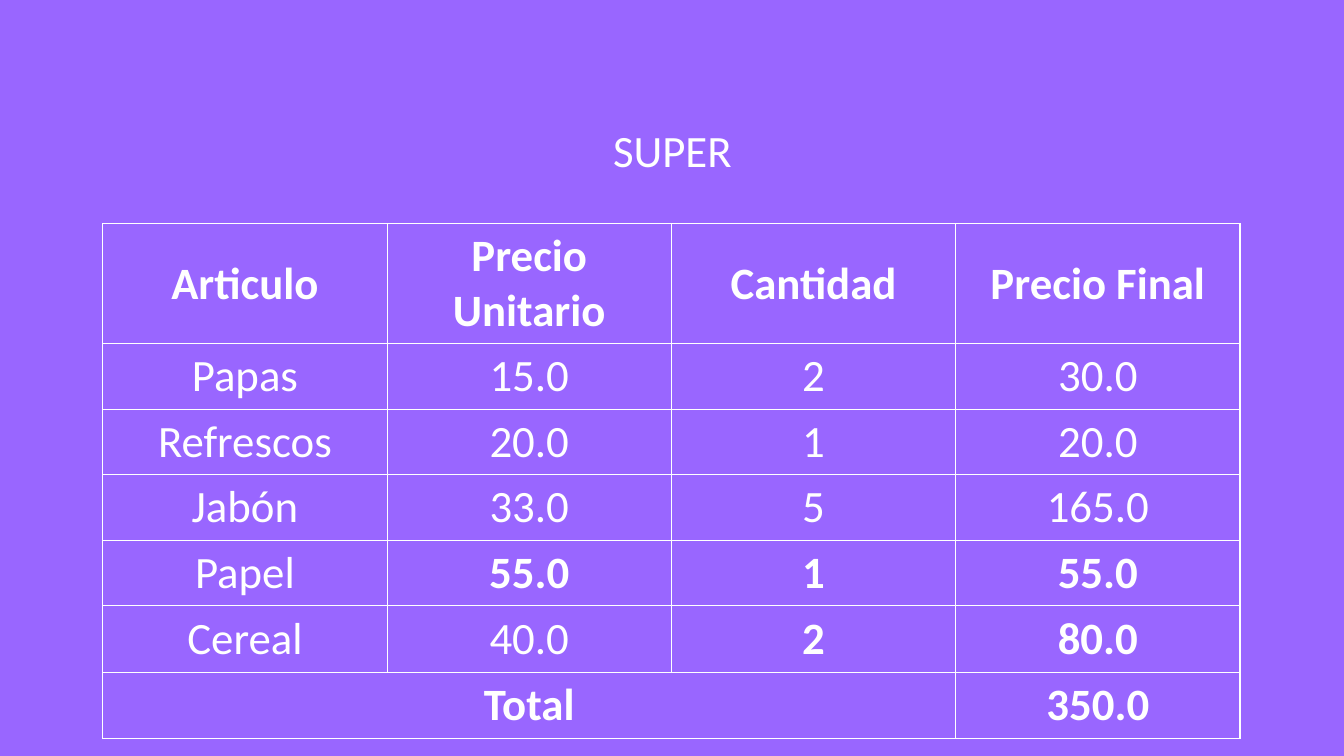
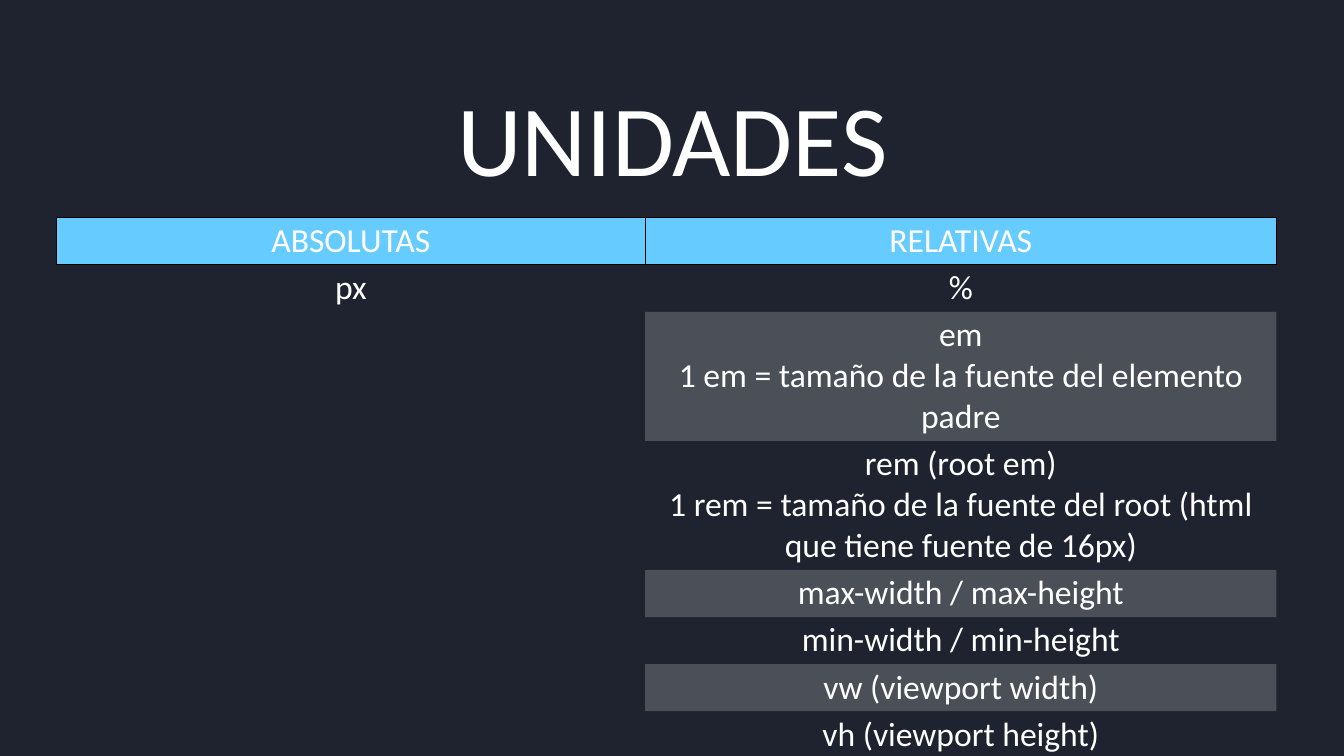
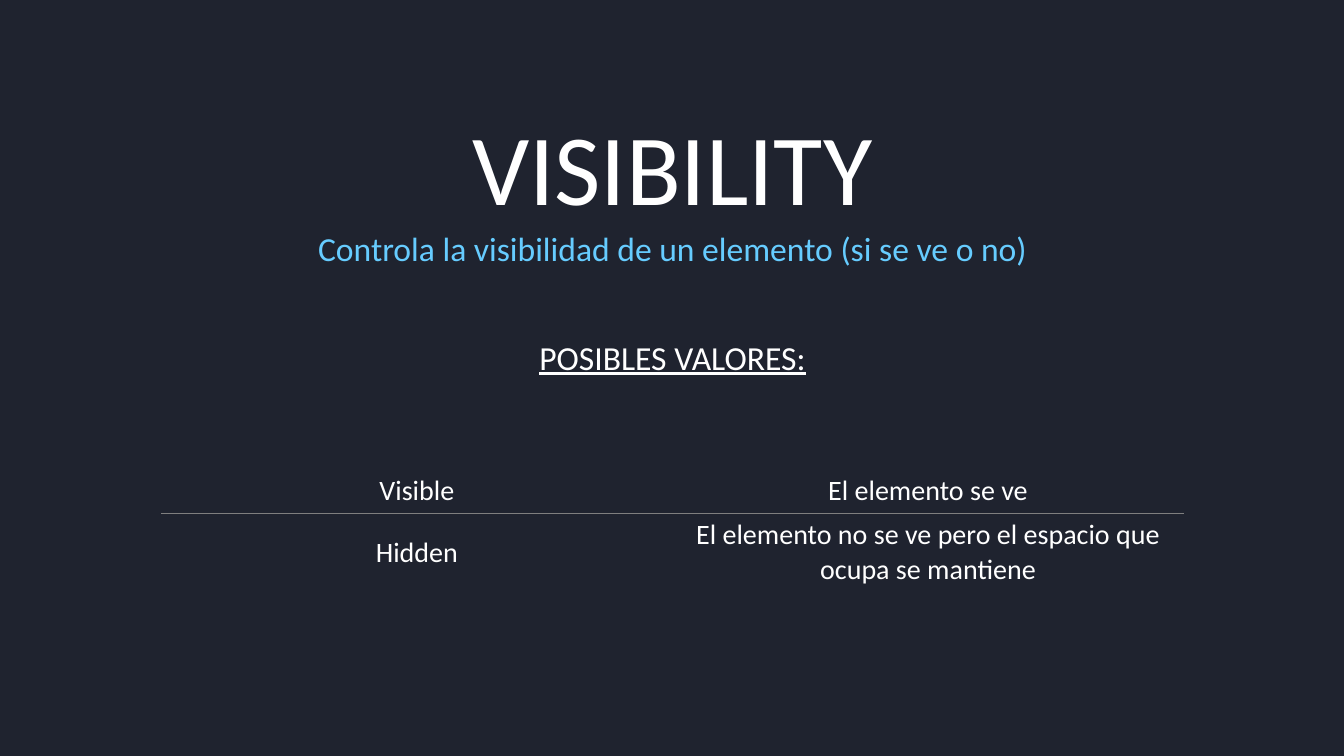
from dataclasses import dataclass

from lxml import etree
from pptx import Presentation
from pptx.dml.color import RGBColor
from pptx.enum.text import MSO_ANCHOR, MSO_AUTO_SIZE, PP_ALIGN
from pptx.oxml.ns import qn
from pptx.util import Inches, Pt

CENTER = PP_ALIGN.CENTER
TOP, MIDDLE = MSO_ANCHOR.TOP, MSO_ANCHOR.MIDDLE
NO_AUTOFIT = MSO_AUTO_SIZE.NONE
TITLE_SLIDE, TITLE_ONLY = 0, 5
SIDES = "LRTB"


@dataclass(frozen=True)
class Theme:
    font: str = "Calibri"
    violet: str = "9966FF"
    navy: str = "1F232F"
    white: str = "FFFFFF"
    black: str = "000000"
    sky: str = "66CCFF"
    gray: str = "7F7F7F"
    title: int = 72
    large: int = 32
    body: int = 24
    small: int = 20
    band_alpha: int = 20


THEME = Theme()


def write(p, text, size, color=THEME.white, bold=False, underline=False, before=0):
    p.alignment = CENTER
    p.space_before = Pt(before)
    r = p.add_run()
    r.text = text
    r.font.name = THEME.font
    r.font.size = Pt(size)
    r.font.bold = bold
    r.font.underline = underline
    r.font.color.rgb = RGBColor.from_string(color)


def set_borders(cell, colors):
    """Draw the sides named in colors (L, R, T, B) and hide the others."""
    tc_pr = cell._tc.get_or_add_tcPr()
    for side in SIDES:
        ln = etree.SubElement(tc_pr, qn("a:ln" + side), w=str(Pt(1)))
        if side in colors:
            fill = etree.SubElement(ln, qn("a:solidFill"))
            etree.SubElement(fill, qn("a:srgbClr"), val=colors[side])
        else:
            etree.SubElement(ln, qn("a:noFill"))


def set_fill(cell, color, alpha=100):
    if color is None:
        cell.fill.background()
        return
    cell.fill.solid()
    cell.fill.fore_color.rgb = RGBColor.from_string(color)
    if alpha < 100:
        clr = cell._tc.tcPr.find(qn("a:solidFill")).find(qn("a:srgbClr"))
        etree.SubElement(clr, qn("a:alpha"), val=str(alpha * 1000))


class Deck:
    def __init__(self):
        self.prs = Presentation()
        self.prs.slide_width = Inches(13.33)
        self.prs.slide_height = Inches(7.5)
        self.slide = None

    def new_slide(self, color, layout=TITLE_ONLY):
        self.slide = self.prs.slides.add_slide(self.prs.slide_layouts[layout])
        fill = self.slide.background.fill
        fill.solid()
        fill.fore_color.rgb = RGBColor.from_string(color)

    def place(self, sp, left, top, width, height):
        """Move a placeholder and return its text frame, ready for text."""
        sp.left, sp.top = Inches(left), Inches(top)
        sp.width, sp.height = Inches(width), Inches(height)
        tf = sp.text_frame
        tf.auto_size = NO_AUTOFIT
        tf.vertical_anchor = TOP
        tf.word_wrap = False
        return tf

    def title(self, text, top, left=0.56, width=12.22, height=1.32, size=THEME.title):
        tf = self.place(self.slide.shapes.title, left, top, width, height)
        write(tf.paragraphs[0], text, size)

    def body(self, top, height, lines):
        """Fill the body placeholder with (text, format) pairs."""
        tf = self.place(self.slide.placeholders[1], 0.56, top, 12.22, height)
        for i, (text, fmt) in enumerate(lines):
            p = tf.add_paragraph() if i else tf.paragraphs[0]
            write(p, text, THEME.body, **fmt)

    def table(self, rows, left, top, widths, heights, size, borders,
              fill=lambda r, c: (None,), bold=(), margins=(0.1, 0.05), anchor=MIDDLE):
        """Add a table; borders(r) and fill(r, c) give the look of each cell."""
        table = self.slide.shapes.add_table(
            len(rows), len(widths), Inches(left), Inches(top),
            Inches(sum(widths)), Inches(sum(heights))).table
        table.first_row = table.horz_banding = False
        for column, width in zip(table.columns, widths):
            column.width = Inches(width)
        for r, (values, height) in enumerate(zip(rows, heights)):
            table.rows[r].height = Inches(height)
            for c, text in enumerate(values):
                cell = table.cell(r, c)
                cell.margin_left = cell.margin_right = Inches(margins[0])
                cell.margin_top = cell.margin_bottom = Inches(margins[1])
                cell.vertical_anchor = anchor
                set_borders(cell, borders(r))
                set_fill(cell, *fill(r, c))
                tf = cell.text_frame
                for i, line in enumerate(text.splitlines()):
                    p = tf.add_paragraph() if i else tf.paragraphs[0]
                    write(p, line, size, bold=(r, c) in bold)
        return table


def shopping_slide(deck):
    deck.new_slide(THEME.violet)
    deck.title("SUPER", 1.17, left=5.96, width=1.42, height=0.64, size=THEME.large)
    rows = [
        ("Articulo", "Precio Unitario", "Cantidad", "Precio Final"),
        ("Papas", "15.0", "2", "30.0"),
        ("Refrescos", "20.0", "1", "20.0"),
        ("Jabón", "33.0", "5", "165.0"),
        ("Papel", "55.0", "1", "55.0"),
        ("Cereal", "40.0", "2", "80.0"),
        ("Total", "", "", "350.0"),
    ]
    bold_columns = {0: range(4), 4: range(1, 4), 5: range(2, 4), 6: range(4)}
    table = deck.table(
        rows, 1.02, 2.22, [2.82] * 4, [1.19] + [0.65] * 4 + [0.66] * 2, THEME.large,
        borders=lambda r: dict.fromkeys(SIDES, THEME.white),
        bold={(r, c) for r, columns in bold_columns.items() for c in columns})
    table.cell(6, 0).merge(table.cell(6, 2))


def units_slide(deck):
    deck.new_slide(THEME.navy)
    deck.title("UNIDADES", 0.7)
    rows = [
        ("ABSOLUTAS", "RELATIVAS"),
        ("px", "%"),
        ("", "em\n1 em = tamaño de la fuente del elemento padre"),
        ("", "rem (root em)\n1 rem = tamaño de la fuente del root "
             "(html que tiene fuente de 16px)"),
        ("", "max-width / max-height"),
        ("", "min-width / min-height"),
        ("", "vw (viewport width)"),
        ("", "vh (viewport height)"),
    ]

    def borders(r):
        sides = {0: SIDES, 1: "T"}.get(r, "")
        return dict.fromkeys(sides, THEME.black)

    def fill(r, c):
        if r == 0:
            return (THEME.sky,)
        if c == 1 and r % 2 == 0:
            return THEME.white, THEME.band_alpha
        return (None,)

    deck.table(rows, 0.56, 2.16, [5.84, 6.26],
               [0.46] * 2 + [1.28] * 2 + [0.46] * 4, THEME.body,
               borders, fill, margins=(0.04, 0.03), anchor=TOP)


def visibility_slide(deck):
    deck.new_slide(THEME.navy, TITLE_SLIDE)
    deck.title("VISIBILITY", 0.99)
    deck.body(2.21, 1.8, [
        ("Controla la visibilidad de un elemento (si se ve o no)", {"color": THEME.sky}),
        ("POSIBLES VALORES:", {"underline": True, "before": 49}),
    ])
    rows = [
        ("Visible", "El elemento se ve"),
        ("Hidden", "El elemento no se ve pero el espacio que ocupa se mantiene"),
    ]
    deck.table(rows, 1.6, 4.65, [5.07] * 2, [0.44, 0.78], THEME.small,
               borders=lambda r: {"BT"[r]: THEME.gray})


def main():
    deck = Deck()
    shopping_slide(deck)
    units_slide(deck)
    visibility_slide(deck)
    deck.prs.save("out.pptx")


if __name__ == "__main__":
    main()
